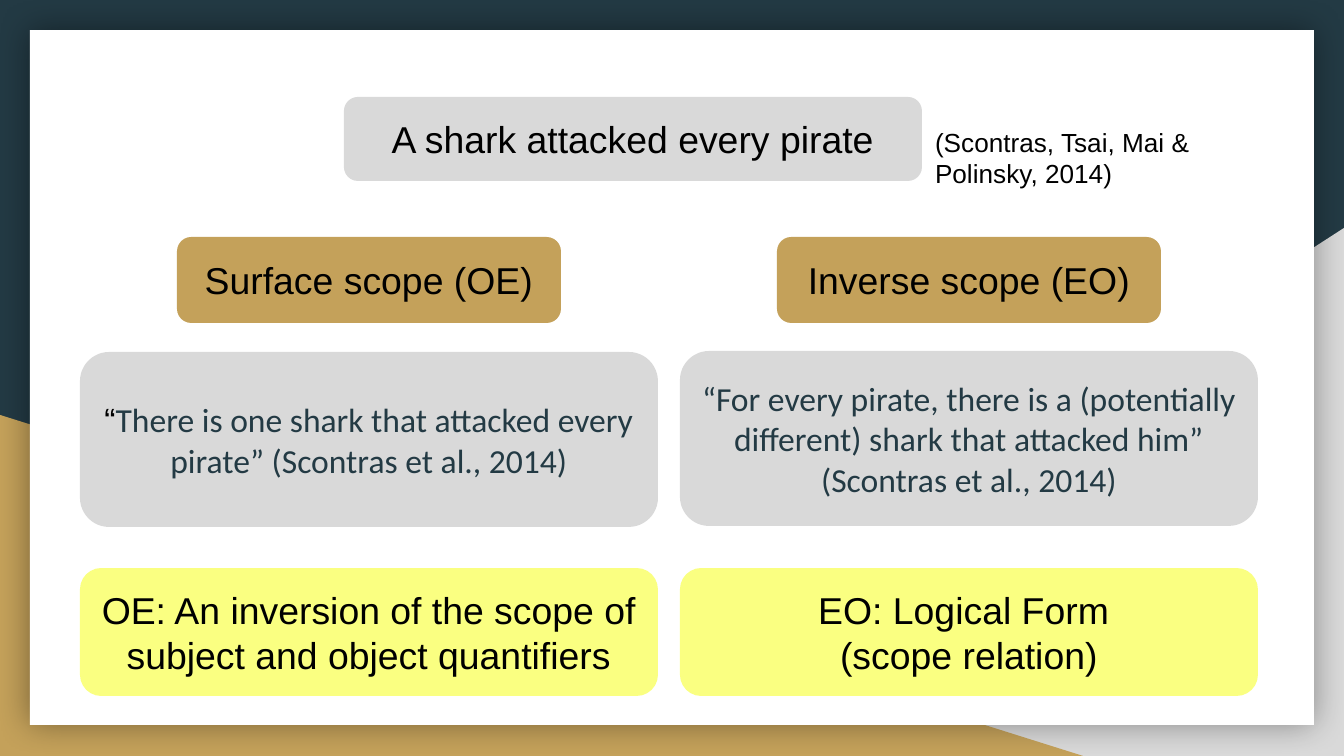
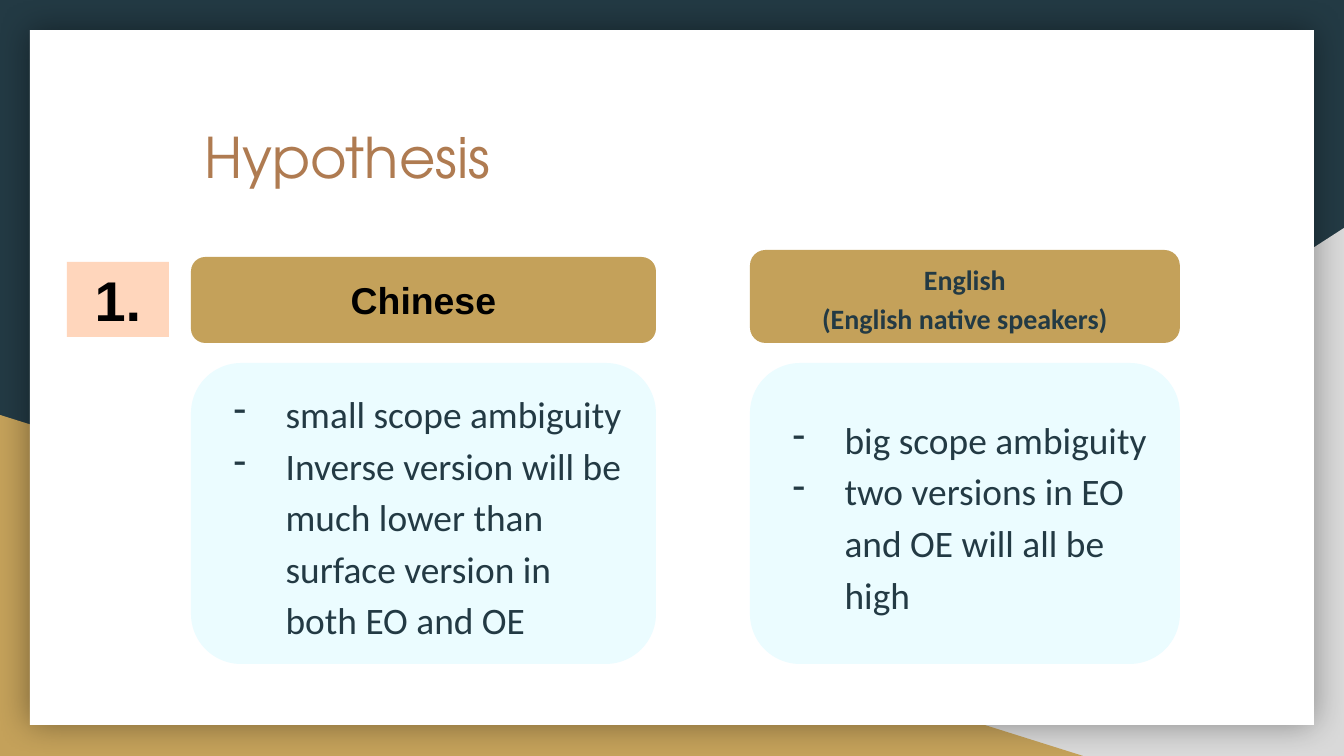
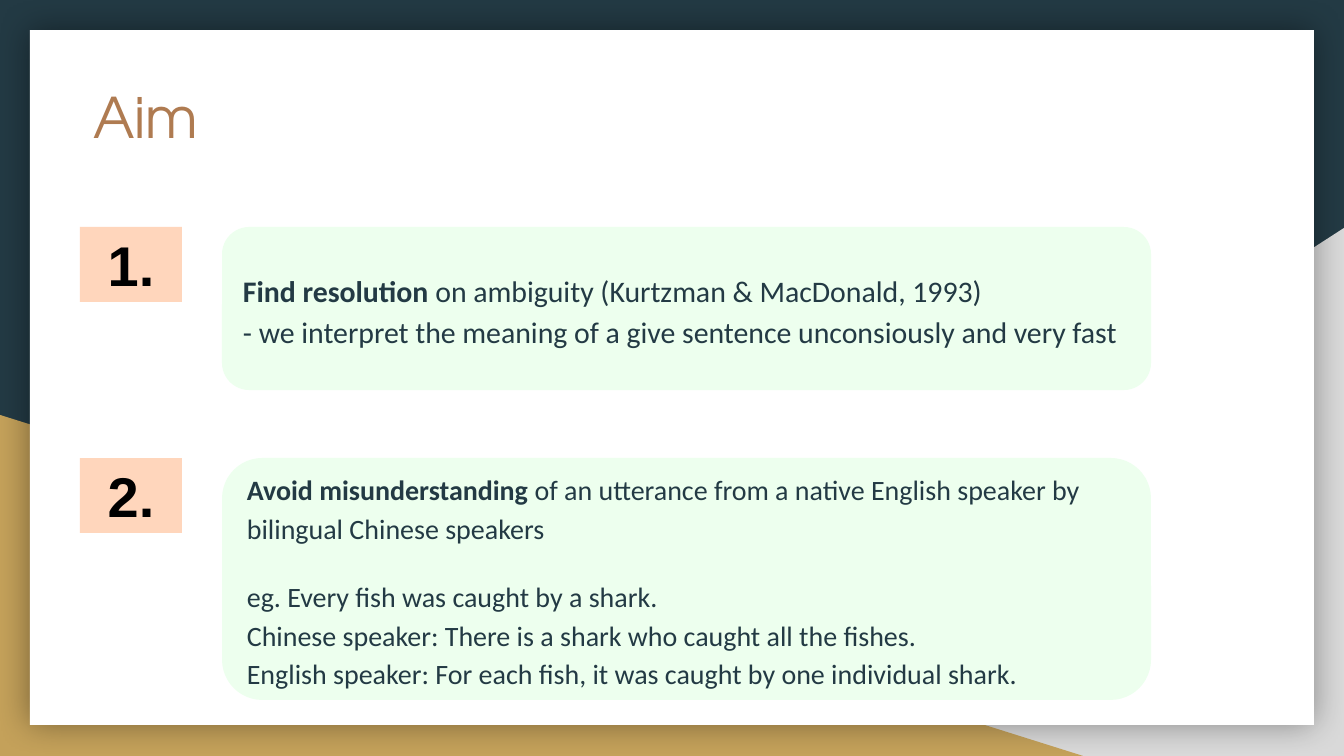
from lxml.etree import SubElement
from pptx import Presentation
from pptx.dml.color import RGBColor
from pptx.enum.shapes import MSO_SHAPE as SHAPE
from pptx.enum.text import MSO_ANCHOR as ANCHOR, MSO_AUTO_SIZE as AUTO_SIZE, PP_ALIGN as ALIGN
from pptx.oxml.ns import qn
from pptx.util import Emu, Pt

SLIDE_W, SLIDE_H = 1344, 756
SCALE = 9144000 / SLIDE_W
INSET = 13
TITLE_ONLY, BLANK = 5, 6

COLORS = {
    "ink": "233A44", "black": "000000", "white": "FFFFFF",
    "grey": "D9D9D9", "gold": "C4A15A", "title": "AF7B51",
    "yellow": "FAFF81", "ice": "EBFCFF", "mint": "EDFFEE", "peach": "FFD6BC",
}
LABEL = dict(font="Arial", size=20, color="black")
PROSE = dict(font="Calibri", size=18, color="ink")
LEFT_PROSE = dict(PROSE, align=ALIGN.LEFT, spacing=1.15)


def px(length):
    return Emu(round(length * SCALE))


def rgb(name):
    return RGBColor.from_string(COLORS[name])


def add_dash(paragraph, color):
    properties = paragraph._p.get_or_add_pPr()
    properties.set("marL", str(px(67)))
    properties.set("indent", str(px(-52)))
    tint = SubElement(properties, qn("a:buClr"))
    SubElement(tint, qn("a:srgbClr"), val=COLORS[color])
    SubElement(properties, qn("a:buChar"), char="-")


def write(frame, paragraphs, font="Arial", size=20, color="black", bold=False,
          align=ALIGN.CENTER, anchor=ANCHOR.MIDDLE, spacing=None,
          gap=0, after=0, dashed=False):
    """Fill a text frame; a paragraph is a string or a list of (text, overrides) runs."""
    frame.word_wrap = True
    frame.auto_size = AUTO_SIZE.NONE
    frame.vertical_anchor = anchor
    frame.margin_left = frame.margin_right = px(INSET)
    frame.margin_top = frame.margin_bottom = px(INSET)
    if isinstance(paragraphs, str):
        paragraphs = [paragraphs]
    for number, runs in enumerate(paragraphs):
        paragraph = frame.add_paragraph() if number else frame.paragraphs[0]
        paragraph.alignment = align
        if spacing:
            paragraph.line_spacing = spacing
        if number and gap:
            paragraph.space_before = Pt(gap)
        if after and number == len(paragraphs) - 1:
            paragraph.space_after = Pt(after)
        if dashed:
            add_dash(paragraph, color)
        for text, changes in [(runs, {})] if isinstance(runs, str) else runs:
            look = dict(font=font, color=color, bold=bold) | changes
            for line_number, line in enumerate(text.split("\n")):
                if line_number:
                    paragraph.add_line_break()
                run = paragraph.add_run()
                run.text = line
                run.font.name = look["font"]
                run.font.size = Pt(size)
                run.font.bold = look["bold"]
                run.font.color.rgb = rgb(look["color"])


def add_block(slide, kind, box, fill):
    block = slide.shapes.add_shape(kind, *map(px, box))
    block.shadow.inherit = False
    block.fill.solid()
    block.fill.fore_color.rgb = rgb(fill)
    block.line.fill.background()
    return block


def add_card(slide, box, fill, paragraphs, **text_format):
    card = add_block(slide, SHAPE.ROUNDED_RECTANGLE, box, fill)
    write(card.text_frame, paragraphs, **text_format)


def add_number(slide, left, top, number):
    badge = add_block(slide, SHAPE.RECTANGLE, (left, top, 102, 75), "peach")
    write(badge.text_frame, f"{number}.", size=30, bold=True)


def add_note(slide, box, text, **text_format):
    note = slide.shapes.add_textbox(*map(px, box))
    write(note.text_frame, text, align=ALIGN.LEFT, anchor=ANCHOR.TOP, **text_format)


def set_title(slide, left, top, text):
    title = slide.shapes.title
    title.left, title.top, title.width, title.height = map(px, (left, top, 1103, 140))
    write(title.text_frame, text, font="TeX Gyre Adventor", size=30, color="title",
          align=ALIGN.LEFT, anchor=ANCHOR.TOP)


def add_titled_slide(prs, left, top, text):
    slide = prs.slides.add_slide(prs.slide_layouts[TITLE_ONLY])
    for placeholder in list(slide.placeholders):
        if placeholder != slide.shapes.title:
            placeholder._element.getparent().remove(placeholder._element)
    set_title(slide, left, top, text)
    return slide


def dress_master(master, slide):
    """Draw the backdrop on a slide and move it into the master, behind the placeholders."""
    master.background.fill.solid()
    master.background.fill.fore_color.rgb = rgb("ink")

    grey_corner = add_block(slide, SHAPE.RIGHT_TRIANGLE, (527, 228, 817, 528), "grey")
    grey_corner._element.spPr.find(qn("a:xfrm")).set("flipH", "1")
    gold_corner = add_block(slide, SHAPE.RIGHT_TRIANGLE, (0, 415, 1083, 341), "gold")
    page = add_block(slide, SHAPE.RECTANGLE, (30, 30, 1284, 695), "white")
    effects = page._element.spPr.find(qn("a:effectLst"))
    shadow = SubElement(effects, qn("a:outerShdw"), blurRad=str(Pt(18)), dist="0",
                        dir="0", algn="ctr", rotWithShape="0")
    shade = SubElement(shadow, qn("a:srgbClr"), val=COLORS["black"])
    SubElement(shade, qn("a:alpha"), val="40000")

    for depth, part in enumerate((grey_corner, gold_corner, page), start=2):
        master.shapes._spTree.insert(depth, part._element)


def build_scopes(slide):
    add_card(slide, (344, 97, 578, 84), "grey", "A shark attacked every pirate", **LABEL)
    add_note(slide, (922, 113, 384, 51), "(Scontras, Tsai, Mai & Polinsky, 2014)", size=14)
    scopes = [
        ("Surface scope (OE)", 352,
         [("“", dict(font="Arial", color="black")),
          ("There is one shark that attacked every pirate” (Scontras et al., 2014)", {})],
         "OE: An inversion of the scope of subject and object quantifiers"),
        ("Inverse scope (EO)", 351,
         "“For every pirate, there is a (potentially different) shark that "
         "attacked him” (Scontras et al., 2014)",
         "EO: Logical Form \n(scope relation)"),
    ]
    for column, (scope, reading_top, reading, summary) in enumerate(scopes):
        left = 80 + 600 * column
        add_card(slide, (left + 97, 237, 384, 86), "gold", scope, **LABEL)
        add_card(slide, (left, reading_top, 578, 175), "grey", [reading], **PROSE)
        add_card(slide, (left, 568, 578, 128), "yellow", summary, **LABEL)


def build_hypothesis(slide):
    add_number(slide, 67, 262, 1)
    add_card(slide, (191, 257, 465, 86), "gold", "Chinese", **LABEL, bold=True)
    add_card(slide, (750, 250, 430, 93), "gold", "English\n(English native speakers)",
             font="Calibri", size=15, color="ink", bold=True, spacing=1.15, after=16)
    predictions = [
        (191, 465, ["small scope ambiguity",
                    "Inverse version will be much lower than surface version "
                    "in both EO and OE"]),
        (750, 430, ["big scope ambiguity", "two versions in EO and OE will all be high"]),
    ]
    for left, width, points in predictions:
        add_card(slide, (left, 363, width, 301), "ice", points,
                 **LEFT_PROSE | dict(size=20, dashed=True))


def build_aim(slide):
    strong = dict(bold=True)
    aims = [
        (227, 163, 16,
         [[("Find resolution", strong),
           (" on ambiguity (Kurtzman & MacDonald, 1993)\n"
            "- we interpret the meaning of a give sentence unconsiously and very fast", {})]]),
        (458, 242, 15,
         [[("Avoid misunderstanding", strong),
           (" of an utterance from a native English speaker by bilingual Chinese speakers", {})],
          "eg. Every fish was caught by a shark.\n"
          "Chinese speaker: There is a shark who caught all the fishes.\n"
          "English speaker: For each fish, it was caught by one individual shark."]),
    ]
    for number, (top, height, size, aim) in enumerate(aims, start=1):
        add_number(slide, 80, top, number)
        add_card(slide, (222, top, 929, height), "mint", aim,
                 **LEFT_PROSE | dict(size=size, gap=16, after=16))


def main():
    prs = Presentation()
    prs.slide_width, prs.slide_height = px(SLIDE_W), px(SLIDE_H)
    scopes = prs.slides.add_slide(prs.slide_layouts[BLANK])
    dress_master(prs.slide_master, scopes)
    build_scopes(scopes)
    build_hypothesis(add_titled_slide(prs, 191, 110, "Hypothesis"))
    build_aim(add_titled_slide(prs, 80, 70, "Aim"))
    prs.save("out.pptx")


if __name__ == "__main__":
    main()
